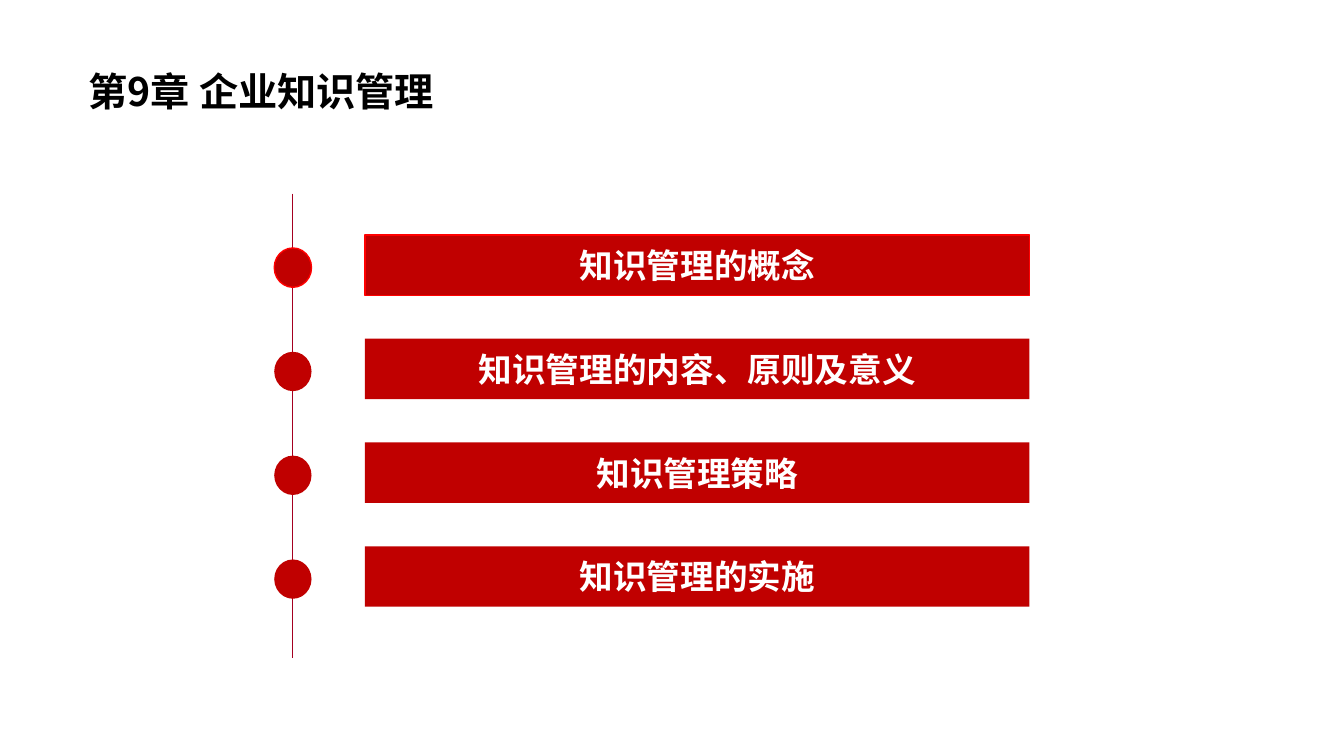
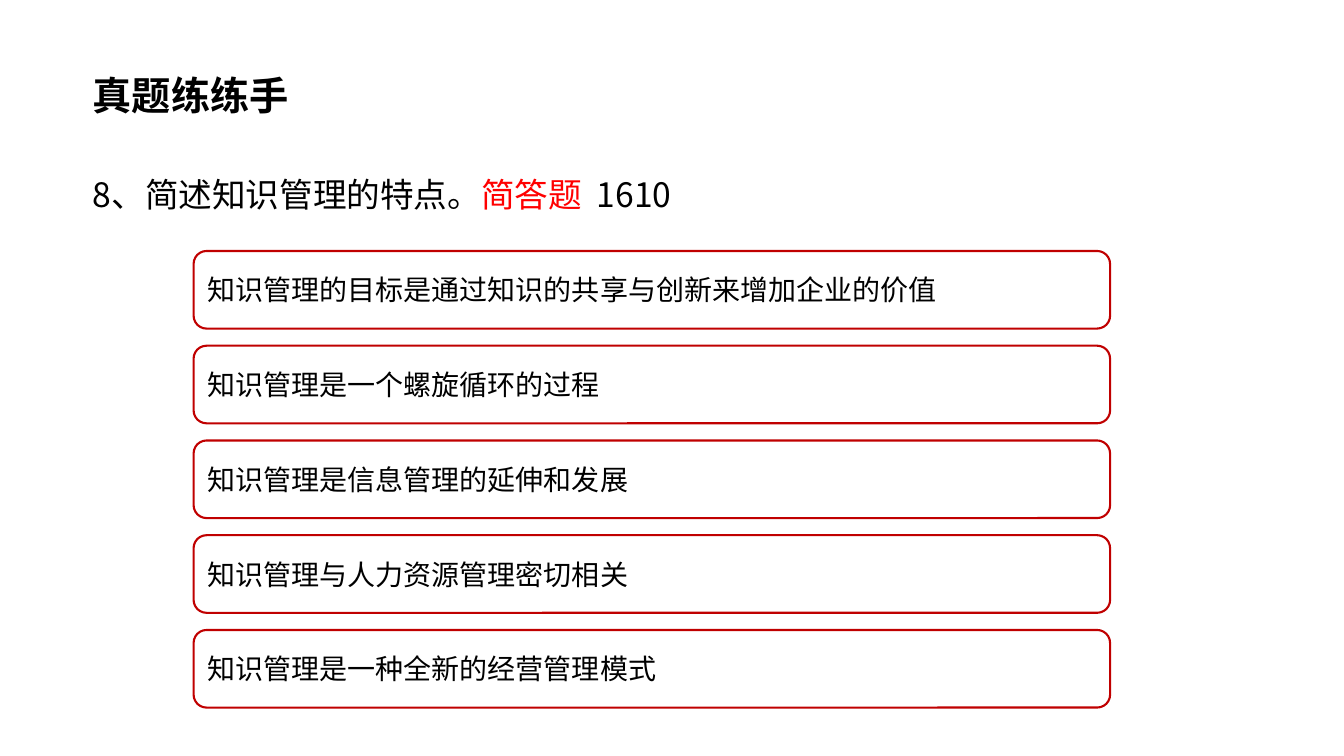
from dataclasses import dataclass

from lxml.etree import SubElement
from pptx import Presentation
from pptx.dml.color import RGBColor
from pptx.enum.shapes import MSO_CONNECTOR, MSO_SHAPE
from pptx.enum.text import MSO_ANCHOR, MSO_AUTO_SIZE, PP_ALIGN
from pptx.oxml.ns import qn
from pptx.util import Inches, Pt


@dataclass(frozen=True)
class Theme:
    red: RGBColor = RGBColor.from_string("C00000")
    accent: RGBColor = RGBColor.from_string("FF0000")
    axis: RGBColor = RGBColor.from_string("A50021")
    ink: RGBColor = RGBColor.from_string("000000")
    paper: RGBColor = RGBColor.from_string("FFFFFF")
    font: str = "Noto Sans CJK SC"
    answer_font: str = "Noto Sans CJK JP"
    title_size: Pt = Pt(28)
    text_size: Pt = Pt(24)
    answer_size: Pt = Pt(20)


theme = Theme()


def format_run(run, size, color, bold=False, font=theme.font):
    run.font.size = size
    run.font.bold = bold
    run.font.color.rgb = color
    run.font.name = font
    SubElement(run._r.get_or_add_rPr(), qn("a:ea"), typeface=font)


def add_titled_slide(layout, heading, left, top, width, height):
    slide = deck.slides.add_slide(layout)
    title = slide.shapes.title
    title.left, title.top = Inches(left), Inches(top)
    title.width, title.height = Inches(width), Inches(height)
    frame = title.text_frame
    frame.text = heading
    frame.word_wrap = True
    frame.auto_size = MSO_AUTO_SIZE.NONE
    frame.vertical_anchor = MSO_ANCHOR.MIDDLE
    frame.margin_left = frame.margin_right = Inches(0.12)
    frame.paragraphs[0].alignment = PP_ALIGN.LEFT
    format_run(frame.paragraphs[0].runs[0], theme.title_size, theme.ink, bold=True)
    return slide


deck = Presentation()
deck.slide_width, deck.slide_height = Inches(13.33), Inches(7.5)

chapter = add_titled_slide(
    deck.slide_layouts[5], "第9章 企业知识管理", 0.76, 0.48, 7.9, 0.85
)
timeline = chapter.shapes.add_connector(
    MSO_CONNECTOR.STRAIGHT, Inches(2.9), Inches(1.92), Inches(2.9), Inches(6.53)
)
timeline.line.color.rgb = theme.axis
timeline.line.width = Pt(0.5)
SubElement(timeline._element.spPr, qn("a:effectLst"))

sections = ["知识管理的概念", "知识管理的内容、原则及意义", "知识管理策略", "知识管理的实施"]
for index, section in enumerate(sections):
    top = 2.33 + index * 1.03
    marker = chapter.shapes.add_shape(
        MSO_SHAPE.OVAL, Inches(2.72), Inches(top + 0.13), Inches(0.37), Inches(0.39)
    )
    bar = chapter.shapes.add_shape(
        MSO_SHAPE.RECTANGLE, Inches(3.62), Inches(top), Inches(6.59), Inches(0.6)
    )
    for part in (marker, bar):
        part.shadow.inherit = False
        part.fill.solid()
        part.fill.fore_color.rgb = theme.red
        if index == 0:
            part.line.color.rgb = theme.accent
            part.line.width = Pt(1)
        else:
            part.line.fill.background()
    bar.text_frame.text = section
    bar.text_frame.word_wrap = True
    bar.text_frame.vertical_anchor = MSO_ANCHOR.MIDDLE
    label = bar.text_frame.paragraphs[0]
    label.alignment = PP_ALIGN.CENTER
    format_run(label.runs[0], theme.text_size, theme.paper, bold=True)

practice = add_titled_slide(
    deck.slide_layouts[1], "真题练练手", 0.8, 0.65, 9.65, 0.59
)
question = practice.placeholders[1]
question.left, question.top = Inches(0.8), Inches(1.47)
question.width, question.height = Inches(11.45), Inches(0.95)
question_frame = question.text_frame
question_frame.word_wrap = True
question_frame.auto_size = MSO_AUTO_SIZE.NONE
question_frame.vertical_anchor = MSO_ANCHOR.TOP
question_frame.margin_left = question_frame.margin_right = Inches(0.12)
question_frame.margin_top = question_frame.margin_bottom = Inches(0.06)
prompt = question_frame.paragraphs[0]
prompt_format = prompt._p.get_or_add_pPr()
prompt_format.set("marL", "0")
prompt_format.set("indent", "0")
SubElement(prompt_format, qn("a:buNone"))
tab_stops = SubElement(prompt_format, qn("a:tabLst"))
SubElement(tab_stops, qn("a:tab"), pos=str(Inches(5.14)), algn="l")
prompt.line_spacing = 1.5
prompt.space_before = Pt(0)
for words, color in [
    ("8、简述知识管理的特点。", theme.ink),
    ("简答题", theme.accent),
    ("\t1610", theme.ink),
]:
    run = prompt.add_run()
    run.text = words
    format_run(run, theme.text_size, color)

answers = [
    "知识管理的目标是通过知识的共享与创新来增加企业的价值",
    "知识管理是一个螺旋循环的过程",
    "知识管理是信息管理的延伸和发展",
    "知识管理与人力资源管理密切相关",
    "知识管理是一种全新的经营管理模式",
]
for index, answer in enumerate(answers):
    card = practice.shapes.add_shape(
        MSO_SHAPE.ROUNDED_RECTANGLE,
        Inches(1.92), Inches(2.49 + index * 0.94), Inches(9.09), Inches(0.77),
    )
    card.shadow.inherit = False
    card.fill.background()
    card.line.color.rgb = theme.red
    card.line.width = Pt(1.5)
    card.text_frame.text = answer
    card.text_frame.word_wrap = True
    card.text_frame.vertical_anchor = MSO_ANCHOR.MIDDLE
    statement = card.text_frame.paragraphs[0]
    statement.alignment = PP_ALIGN.LEFT
    format_run(statement.runs[0], theme.answer_size, theme.ink, font=theme.answer_font)

deck.save("out.pptx")
